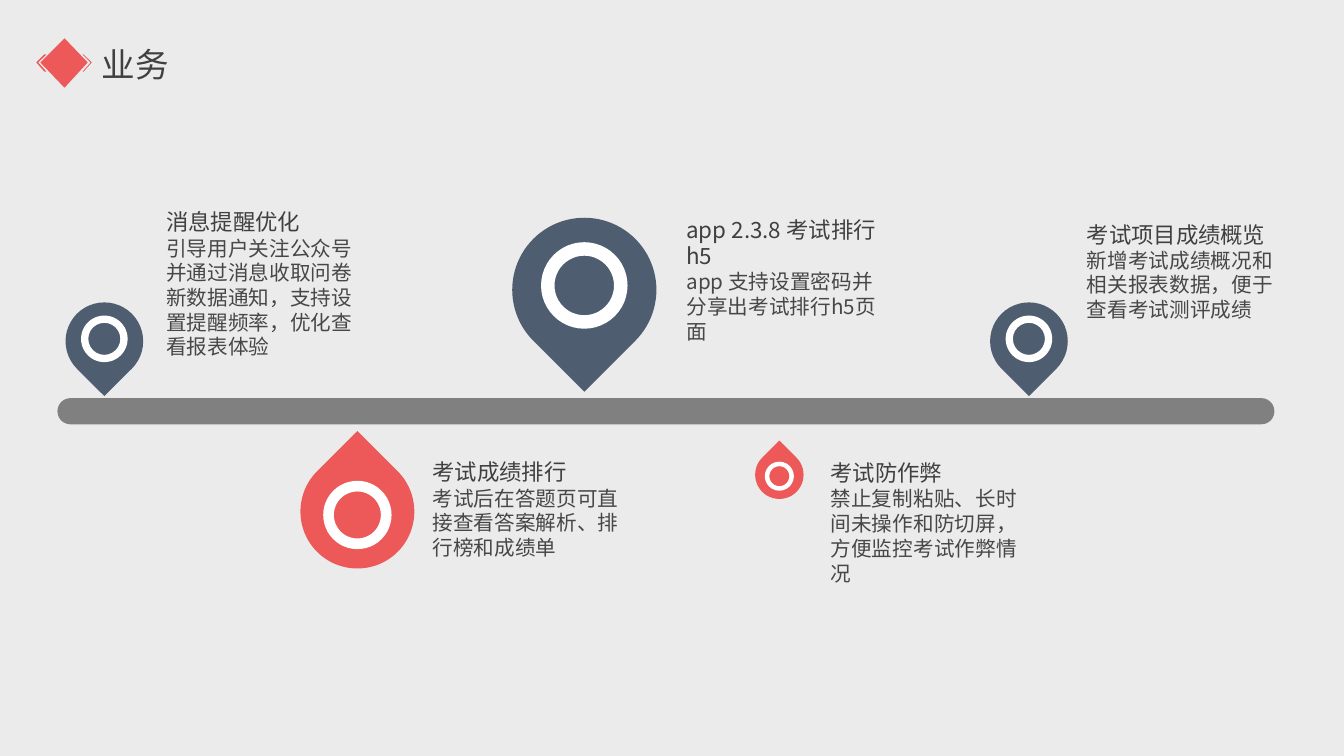
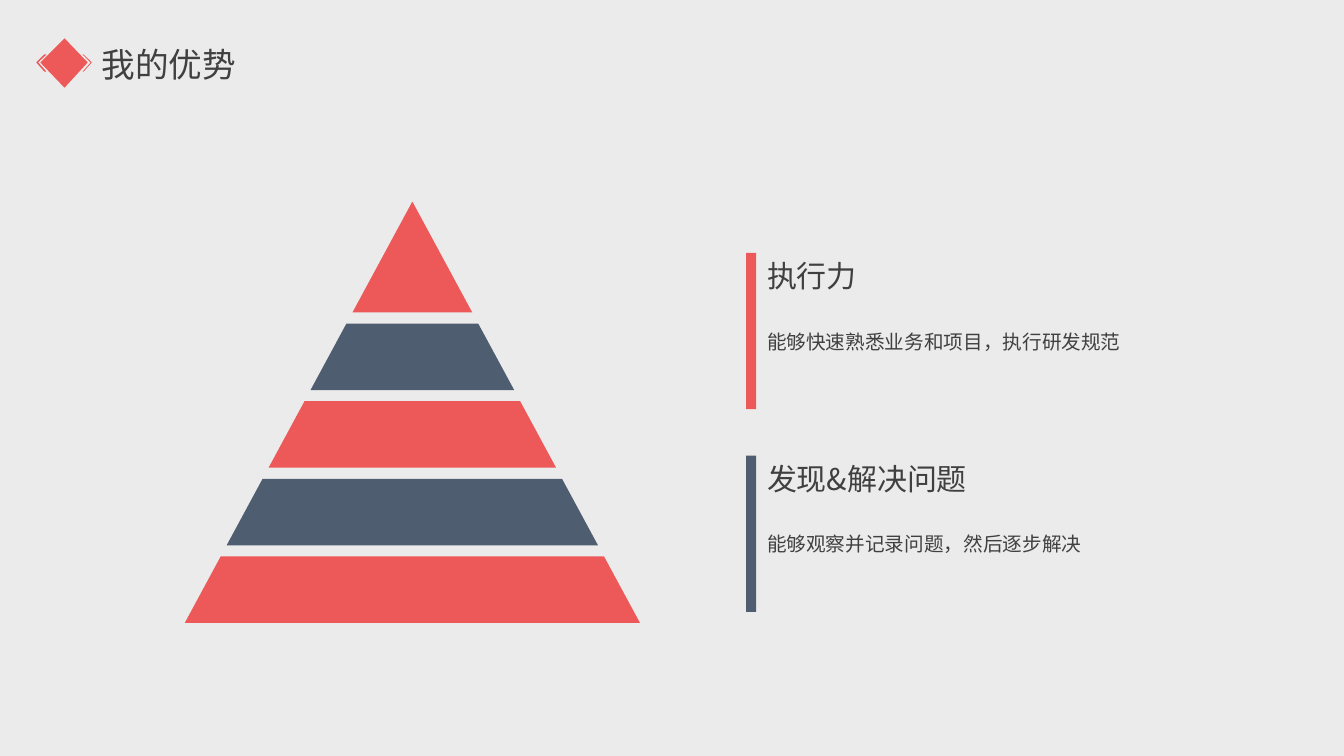
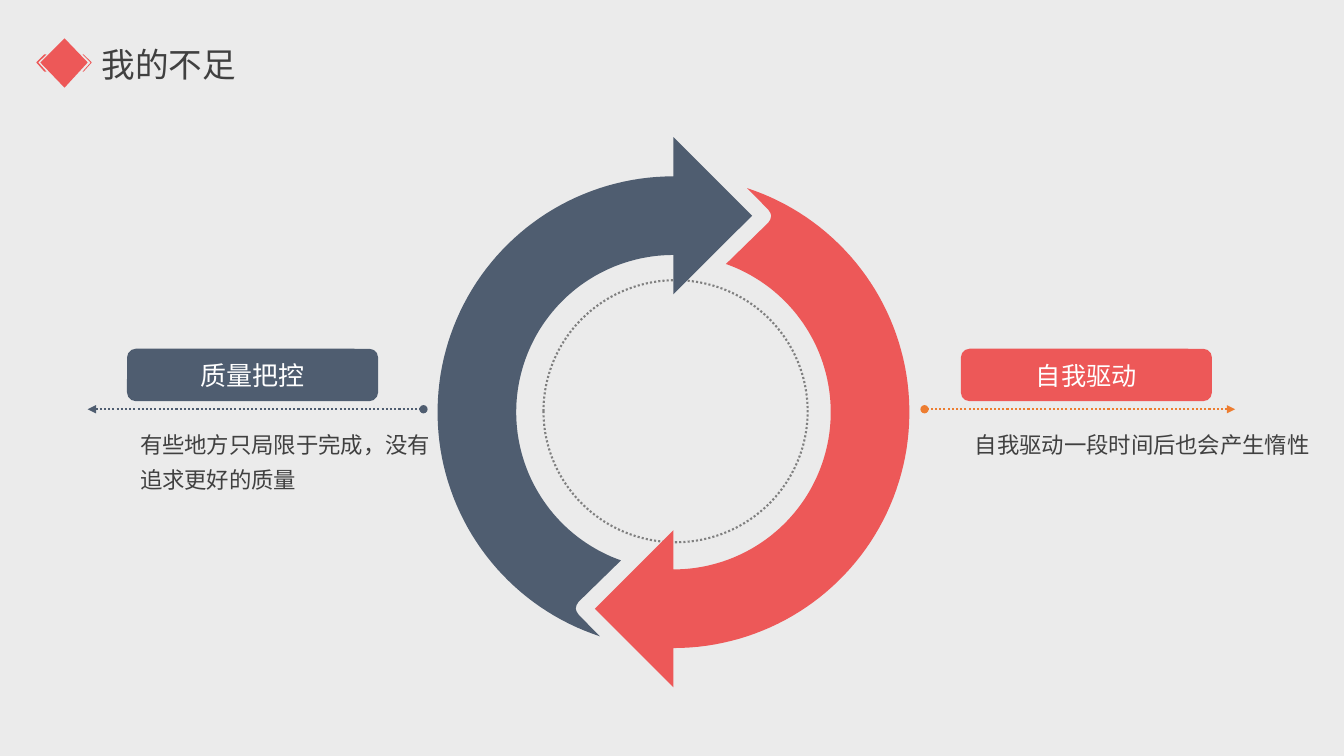
import math

from lxml import etree
from pptx import Presentation
from pptx.dml.color import RGBColor
from pptx.enum import dml, shapes, text
from pptx.oxml import ns
from pptx.util import Inches, Pt

RED, BLUE, GRAY, WHITE = "ED5858", "4F5D70", "808080", "FFFFFF"
INK, BODY, PAPER, ORANGE = "404040", "474747", "EBEBEB", "ED7D31"
FONT = "Noto Sans CJK SC"
KIND = shapes.MSO_SHAPE
ALIGN = text.PP_ALIGN

TITLE_MARK = [
    [(0.82, 0.54), (0.83, 0.54), (0.91, 0.62), (0.83, 0.71), (0.82, 0.71), (0.9, 0.62)],
    [(0.44, 0.54), (0.46, 0.54), (0.38, 0.62), (0.46, 0.71), (0.44, 0.71), (0.36, 0.62)],
    [(0.64, 0.38), (0.87, 0.62), (0.64, 0.87), (0.4, 0.62)],
]

MILESTONES = [
    {"pin": (0.65, 3, 0.77), "up": True, "at": (1.55, 2.02, 2.08, 1.6),
     "head": "消息提醒优化",
     "body": "引导用户关注公众号并通过消息收取问卷新数据通知，支持设置提醒频率，优化查看报表体验"},
    {"pin": (5.08, 2.16, 1.43), "up": True, "at": (6.71, 2.09, 2.08, 1.38),
     "head": "app 2.3.8 考试排行h5",
     "body": "app 支持设置密码并分享出考试排行h5页面"},
    {"pin": (2.98, 4.51, 1.13), "up": False, "at": (4.19, 4.5, 2.08, 1.11),
     "head": "考试成绩排行",
     "body": "考试后在答题页可直接查看答案解析、排行榜和成绩单"},
    {"pin": (7.49, 4.47, 0.48), "up": False, "at": (8.14, 4.51, 2.08, 1.36),
     "head": "考试防作弊",
     "body": "禁止复制粘贴、长时间未操作和防切屏，方便监控考试作弊情况"},
    {"pin": (9.82, 3, 0.77), "up": True, "at": (10.68, 2.14, 2.08, 1.11),
     "head": "考试项目成绩概览",
     "body": "新增考试成绩概况和相关报表数据，便于查看考试测评成绩"},
]

STRENGTHS = [
    ("执行力", "能够快速熟悉业务和项目，执行研发规范", 2.51, RED),
    ("发现&解决问题", "能够观察并记录问题，然后逐步解决", 4.52, BLUE),
]

WEAKNESSES = [
    {"label": "自我驱动", "font": FONT, "size": 18, "button": 9.53, "fill": RED,
     "arrow": (12.25, 9.17), "line": ORANGE, "at": (9.57, 4.15, 3.53, 0.45),
     "lines": ["自我驱动一段时间后也会产生惰性"]},
    {"label": "质量把控", "font": "Calibri", "size": 18.6, "button": 1.26, "fill": BLUE,
     "arrow": (0.87, 4.2), "line": BLUE, "at": (1.29, 4.15, 3.09, 0.8),
     "lines": ["有些地方只局限于完成，没有", "追求更好的质量"]},
]


def color(value):
    return RGBColor.from_string(value)


def inches(values):
    return [Inches(value) for value in values]


def paint(shape, fill):
    shape.shadow.inherit = False
    shape.fill.solid()
    shape.fill.fore_color.rgb = color(fill)
    shape.line.fill.background()
    return shape


def add_preset(page, kind, at, fill, adjust=None, rotation=0):
    shape = paint(page.shapes.add_shape(kind, *inches(at)), fill)
    if adjust is not None:
        shape.adjustments[0] = adjust
    shape.rotation = rotation
    return shape


def add_outline(page, contours, fill):
    builder = None
    for contour in contours:
        start, *rest = [tuple(inches(point)) for point in contour]
        if builder is None:
            builder = page.shapes.build_freeform(*start)
        else:
            builder.move_to(*start)
        builder.add_line_segments(rest, close=True)
    return paint(builder.convert_to_shape(), fill)


def write(frame, paragraphs, align=ALIGN.LEFT, spacing=None):
    for index, (words, size, ink, font) in enumerate(paragraphs):
        para = frame.add_paragraph() if index else frame.paragraphs[0]
        para.alignment = align
        if spacing:
            para.line_spacing = spacing
        span = para.add_run()
        span.text = words
        span.font.size = Pt(size)
        span.font.color.rgb = color(ink)
        span.font.name = font
        etree.SubElement(span.font._element, ns.qn("a:ea"), typeface=font)


def add_text(page, at, paragraphs, wrap=True, **style):
    frame = page.shapes.add_textbox(*inches(at)).text_frame
    frame.word_wrap = wrap
    frame.auto_size = text.MSO_AUTO_SIZE.SHAPE_TO_FIT_TEXT
    write(frame, paragraphs, **style)


def dot_line(line, ink):
    line.color.rgb = color(ink)
    line.width = Pt(1.5)
    line.dash_style = dml.MSO_LINE.ROUND_DOT


def add_arrow(page, start, end, y, ink):
    arrow = page.shapes.add_connector(shapes.MSO_CONNECTOR.STRAIGHT, *inches((start, y, end, y)))
    dot_line(arrow.line, ink)
    ends = arrow.line._get_or_add_ln()
    etree.SubElement(ends, ns.qn("a:headEnd"), type="triangle")
    etree.SubElement(ends, ns.qn("a:tailEnd"), type="oval")
    etree.SubElement(arrow._element.spPr, ns.qn("a:effectLst"))


def new_page(deck, title, width):
    page = deck.slides.add_slide(deck.slide_layouts[6])
    add_outline(page, TITLE_MARK, RED)
    add_text(page, (0.91, 0.39, width, 0.5), [(title, 24, INK, FONT)], wrap=False)
    return page


def add_pin(page, left, top, size, up):
    add_preset(page, KIND.TEAR, (left, top, size, size), BLUE if up else RED,
               rotation=135 if up else 315)
    ring = 0.6 * size
    inset = (size - ring) / 2
    shift = -0.03 * size if up else 0.03 * size
    add_preset(page, KIND.DONUT, (left + inset, top + inset + shift, ring, ring), WHITE, 0.156)


def build_timeline(deck):
    page = new_page(deck, "业务", 0.87)
    add_preset(page, KIND.ROUNDED_RECTANGLE, (0.57, 3.95, 12.07, 0.26), GRAY, 0.494)
    for item in MILESTONES:
        add_pin(page, *item["pin"], item["up"])
        add_text(page, item["at"], [(item["head"], 16, INK, FONT), (item["body"], 14.7, BODY, FONT)])


def build_pyramid(deck):
    page = new_page(deck, "我的优势", 1.55)
    center, apex, slope, gap = 4.09, 2, 0.54, 0.11
    top = apex
    for level, height in enumerate([1.1] + [0.66] * 4):
        bottom = top + height
        upper, lower = (top - apex) * slope, (bottom - apex) * slope
        layer = [(center - upper, top), (center + upper, top),
                 (center + lower, bottom), (center - lower, bottom)]
        add_outline(page, [layer], BLUE if level % 2 else RED)
        top = bottom + gap
    for head, body, y, fill in STRENGTHS:
        add_preset(page, KIND.RECTANGLE, (7.4, y, 0.1, 1.55), fill)
        add_text(page, (7.51, y, 2.62, 0.46), [(head, 21.4, INK, FONT)])
        add_text(page, (7.51, y + 0.71, 4.51, 0.34), [(body, 14, INK, FONT)], align=ALIGN.JUSTIFY)


def arc(radius, start, end):
    steps = 80
    angles = [math.radians(start + (end - start) * step / steps) for step in range(steps + 1)]
    return [(-radius * math.sin(angle), -radius * math.cos(angle)) for angle in angles]


def build_cycle(deck):
    page = new_page(deck, "我的不足", 1.55)
    ring = page.shapes.add_shape(KIND.OVAL, *inches((5.39, 2.78, 2.62, 2.6)))
    ring.shadow.inherit = False
    ring.fill.background()
    dot_line(ring.line, GRAY)

    center_x, center_y = 6.68, 4.09
    notch = [(-0.94, 2.01), (-0.96, 1.98), (-0.97, 1.95), (-0.96, 1.91), (-0.94, 1.88)]
    arrowhead = [(0, -1.17), (0.78, -1.95), (0, -2.73)]
    half = arc(2.34, 0, 161.8) + notch + arc(1.56, 160.5, 0) + arrowhead
    for turn, fill in ((1, BLUE), (-1, RED)):
        add_outline(page, [[(center_x + turn * x, center_y + turn * y) for x, y in half]], fill)

    for item in WEAKNESSES:
        button = add_preset(page, KIND.ROUNDED_RECTANGLE, (item["button"], 3.46, 2.49, 0.52),
                            item["fill"], 0.167)
        button.text_frame.word_wrap = False
        button.text_frame.vertical_anchor = text.MSO_ANCHOR.MIDDLE
        write(button.text_frame, [(item["label"], item["size"], WHITE, item["font"])], ALIGN.CENTER)
        add_arrow(page, *item["arrow"], 4.06, item["line"])
        add_text(page, item["at"], [(words, 16, INK, FONT) for words in item["lines"]],
                 wrap=False, spacing=1.3)


def main():
    deck = Presentation()
    deck.slide_width, deck.slide_height = inches((13.33, 7.5))
    backdrop = deck.slide_master.background.fill
    backdrop.solid()
    backdrop.fore_color.rgb = color(PAPER)
    build_timeline(deck)
    build_pyramid(deck)
    build_cycle(deck)
    deck.save("out.pptx")


if __name__ == "__main__":
    main()
